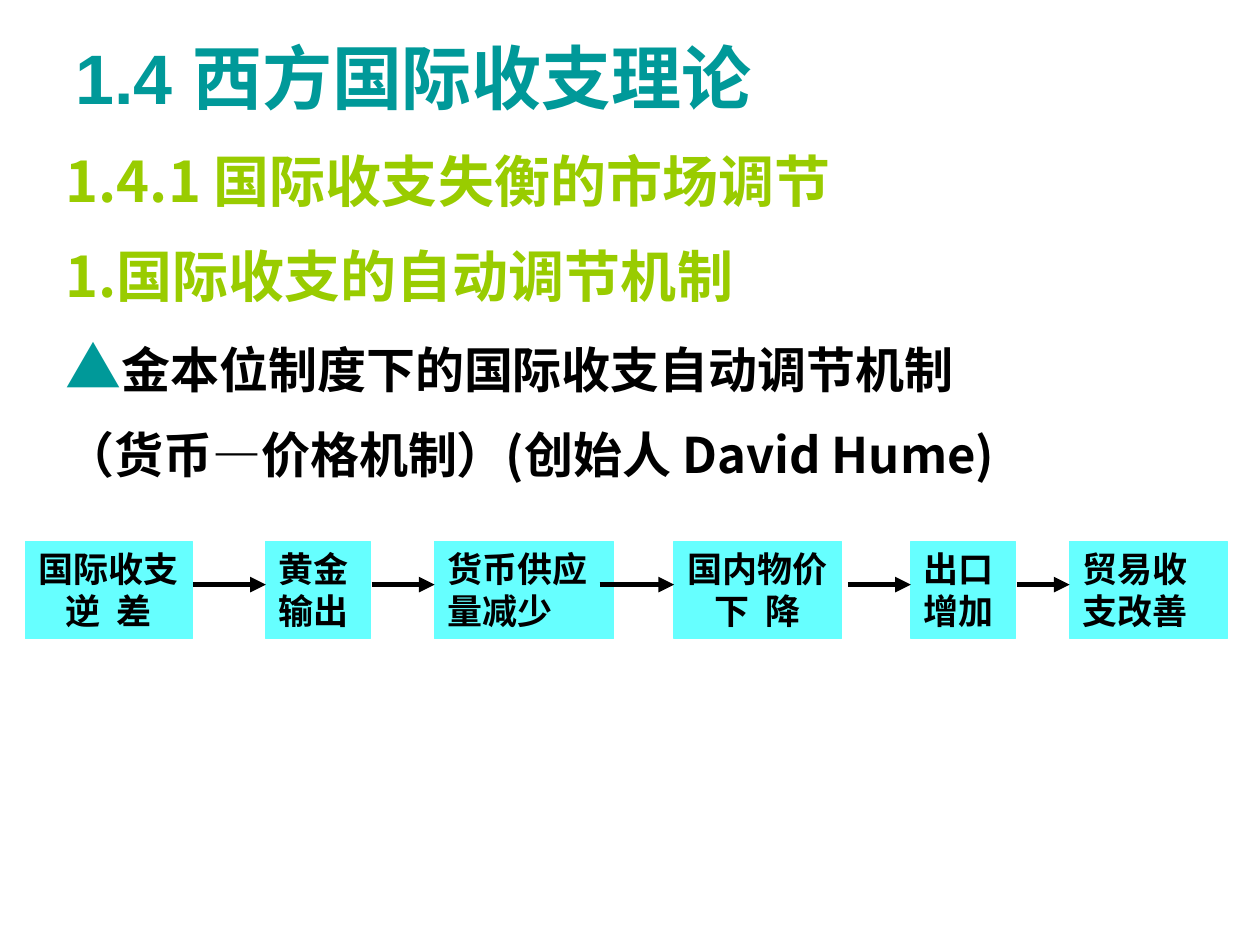
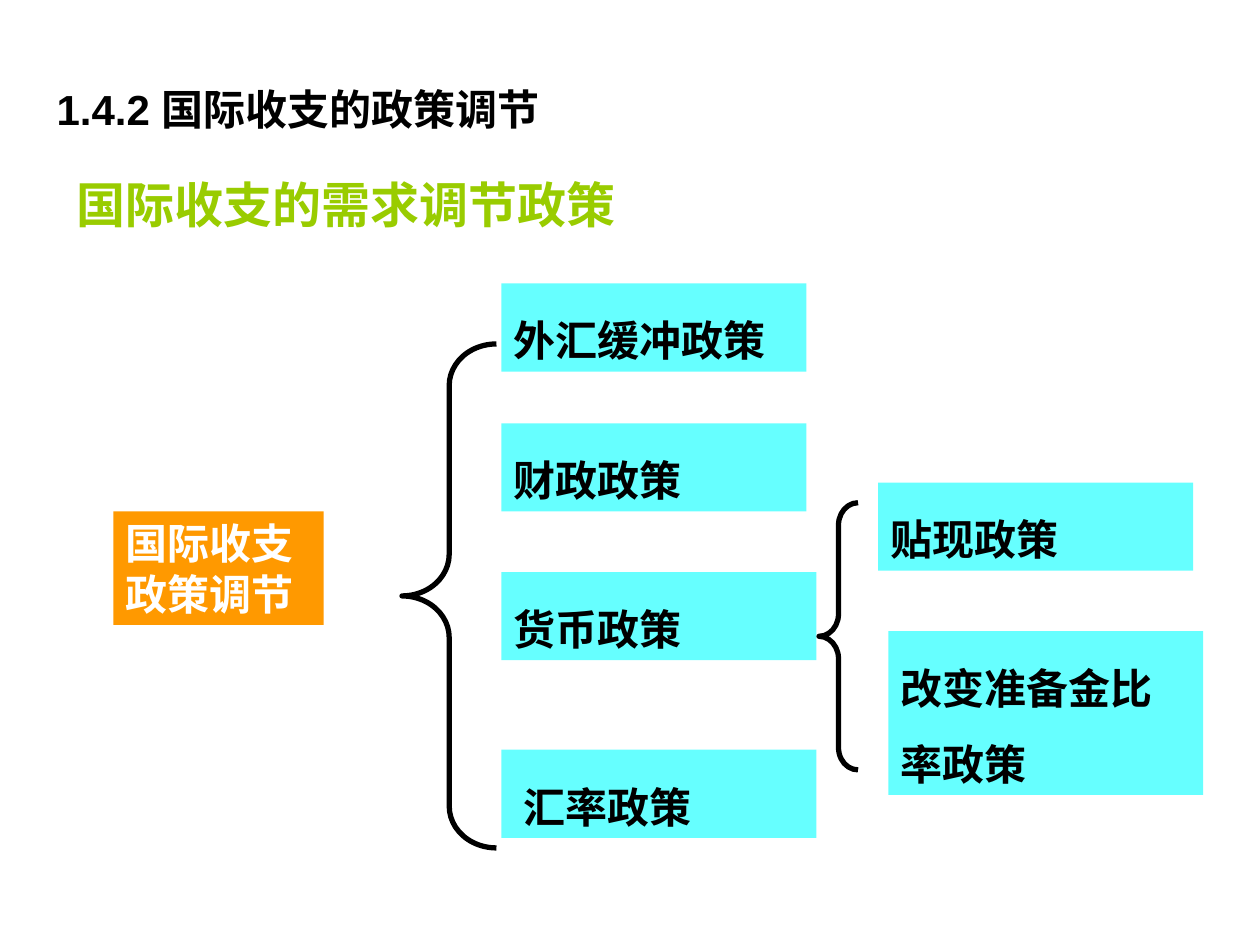
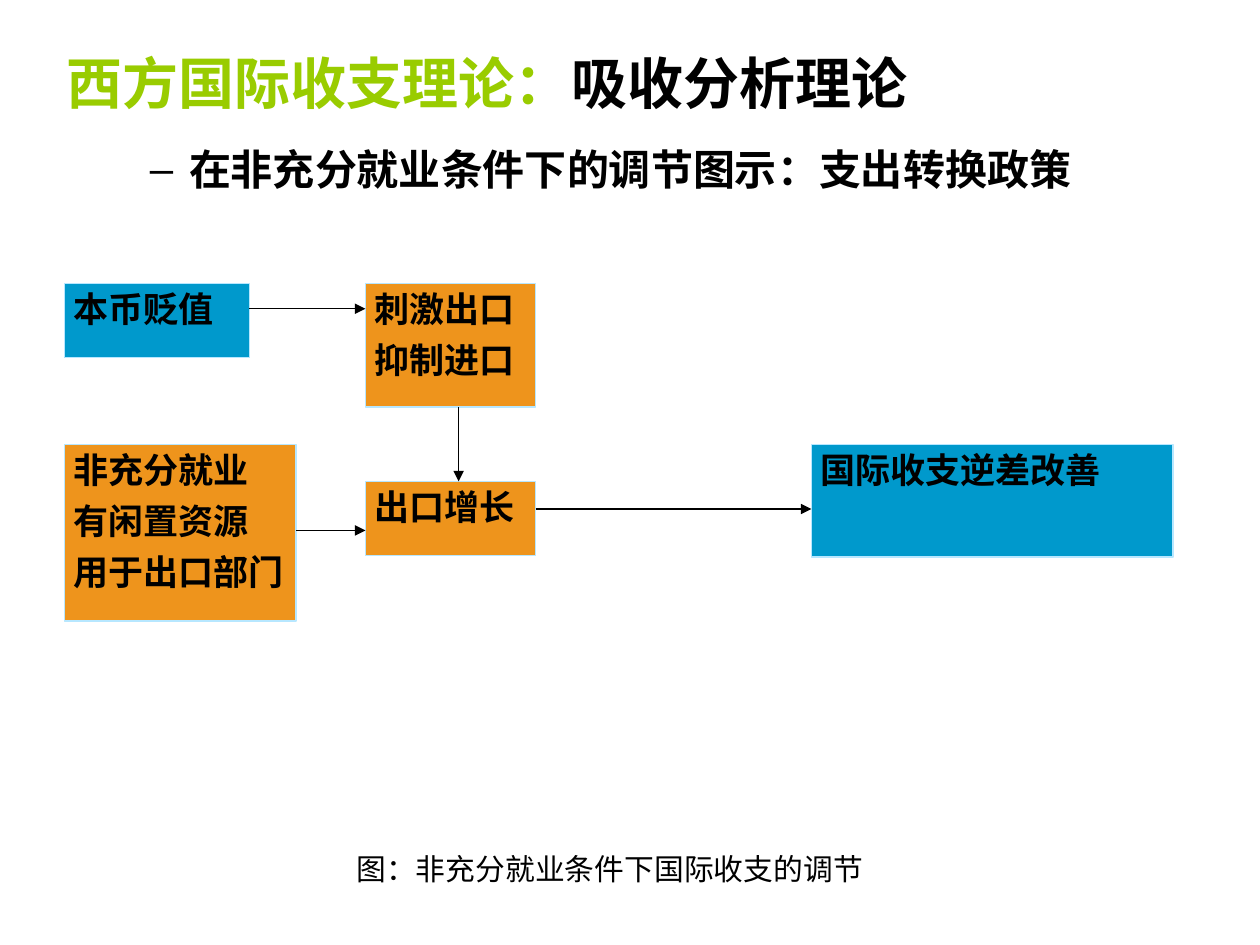
from lxml import etree
from pptx import Presentation, util as u
from pptx.dml.color import RGBColor
from pptx.enum import shapes as sh, text as tx
from pptx.oxml.ns import qn

# Shared look
COLORS = {
    "teal": "009999", "lime": "99CC00", "aqua": "66FFFF", "orange": "FF9900",
    "amber": "EE941C", "blue": "0099CC", "pale": "B7E7FF",
    "black": "000000", "white": "FFFFFF",
}
CJK = "Noto Sans CJK SC"
SERIF = "Times New Roman"
LEFT, CENTER, JUSTIFY = (tx.PP_ALIGN.LEFT, tx.PP_ALIGN.CENTER,
                         tx.PP_ALIGN.JUSTIFY)
TOP, MIDDLE = tx.MSO_ANCHOR.TOP, tx.MSO_ANCHOR.MIDDLE

# Grid: 100 columns by 75 rows of square cells
WIDTH, HEIGHT = u.Inches(10), u.Inches(7.5)
COL, ROW = WIDTH / 100, HEIGHT / 75


def place(x, y, w, h):
    return round(x * COL), round(y * ROW), round(w * COL), round(h * ROW)


def rgb(name):
    return RGBColor.from_string(COLORS[name])


def add_run(p, content, size=24, font="Arial", color="black", bold=True):
    r = p.add_run()
    r.text = content
    r.font.size, r.font.bold, r.font.name = u.Pt(size), bold, font
    r.font.color.rgb = rgb(color)
    east = etree.SubElement(r._r.get_or_add_rPr(), qn("a:ea"))
    east.set("typeface", font if font.startswith("Noto") else CJK)


def set_bullet(p, bullet, margin, hanging):
    pPr = p._p.get_or_add_pPr()
    pPr.set("marL", str(round(margin * COL)))
    pPr.set("indent", str(round(-hanging * COL)))
    if bullet:
        etree.SubElement(pPr, qn("a:buChar")).set("char", bullet)
    else:
        etree.SubElement(pPr, qn("a:buNone"))


def write(sp, paragraphs, align=LEFT, before=0, spacing=1, anchor=TOP,
          inset=(1, 0.5, 1, 0.5), bullet=None, margin=0, hanging=0, **fmt):
    """Fill a shape; a paragraph is a string or a list of (text, format)."""
    tf = sp.text_frame
    tf.word_wrap, tf.auto_size = True, tx.MSO_AUTO_SIZE.NONE
    tf.vertical_anchor = anchor
    tf.margin_left, tf.margin_top, tf.margin_right, tf.margin_bottom = (
        round(i * COL) for i in inset)
    for i, content in enumerate(paragraphs):
        p = tf.add_paragraph() if i else tf.paragraphs[0]
        runs = [(content, {})] if isinstance(content, str) else content
        own = runs[0][1].get("before", before)
        p.alignment, p.line_spacing = align, spacing
        p.space_before, p.space_after = u.Pt(own), u.Pt(0)
        set_bullet(p, bullet, margin, hanging)
        for words, change in runs:
            look = {k: v for k, v in change.items() if k != "before"}
            add_run(p, words, **{**fmt, **look})
    return sp


def fill_placeholder(sp, box, paragraphs, **fmt):
    sp.left, sp.top, sp.width, sp.height = place(*box)
    return write(sp, paragraphs, **fmt)


def add_label(s, box, words, **fmt):
    return write(s.shapes.add_textbox(*place(*box)), [words], **fmt)


def add_box(s, box, paragraphs, fill="aqua", line=None, **fmt):
    sp = s.shapes.add_shape(sh.MSO_SHAPE.RECTANGLE, *place(*box))
    sp.shadow.inherit = False
    sp.fill.solid()
    sp.fill.fore_color.rgb = rgb(fill)
    if line:
        sp.line.color.rgb, sp.line.width = rgb(line), u.Pt(0.75)
    else:
        sp.line.fill.background()
    return write(sp, paragraphs, **fmt)


def add_arrow(s, x1, y1, x2, y2, weight=0.75):
    x1, y1, x2, y2 = place(x1, y1, x2, y2)
    line = s.shapes.add_connector(sh.MSO_CONNECTOR.STRAIGHT, x1, y1, x2, y2)
    line.line.color.rgb, line.line.width = rgb("black"), u.Pt(weight)
    tail = etree.SubElement(line.line._get_or_add_ln(), qn("a:tailEnd"))
    tail.set("type", "triangle")
    etree.SubElement(line._element.spPr, qn("a:effectLst"))


def add_brace(s, box, curve):
    sp = s.shapes.add_shape(sh.MSO_SHAPE.LEFT_BRACE, *place(*box))
    sp.shadow.inherit = False
    sp.adjustments[0] = curve
    sp.fill.background()
    sp.line.color.rgb, sp.line.width = rgb("black"), u.Pt(3)


def gold_standard_slide(prs):
    s = prs.slides.add_slide(prs.slide_layouts[1])
    fill_placeholder(s.shapes.title, (5, 3, 90, 12.5), ["1.4 西方国际收支理论"],
                     size=40, color="teal", anchor=MIDDLE,
                     inset=(1, 0.5, 1, 6.8))
    point = {"size": 28, "color": "black", "before": 17.5}
    fill_placeholder(
        s.placeholders[1], (4.2, 11.7, 87.5, 27.5),
        ["1.4.1 国际收支失衡的市场调节",
         "1.国际收支的自动调节机制",
         [("▲", {"font": "Arial", "color": "teal", "before": 17.5}),
          ("金本位制度下的国际收支自动调节机制", point)],
         [("（货币—价格机制）", {**point, "font": "Arial"}),
          ("(创始人 David Hume)", point)]],
        size=32, font=CJK, color="lime", before=20, spacing=0.9,
        margin=3.8, hanging=3.8)

    # Chain of effects: left, width, text, alignment
    chain = [(2, 13.3, "国际收支逆  差", CENTER), (21.1, 8.3, "黄金输出", LEFT),
             (34.5, 14.2, "货币供应量减少", LEFT),
             (53.5, 13.3, "国内物价下  降", CENTER),
             (72.3, 8.3, "出口增加", LEFT), (84.9, 12.5, "贸易收支改善", LEFT)]
    for x, w, words, align in chain:
        add_box(s, (x, 43, w, 7.7), [words], line="aqua", align=align,
                before=12.5, size=20, font=SERIF)
    starts = [15.3, 29.5, 47.6, 67.3, 80.7]
    for start, (end, *_) in zip(starts, chain[1:]):
        add_arrow(s, start, 46.4, end, 46.4, weight=3)


def policy_slide(prs):
    s = prs.slides.add_slide(prs.slide_layouts[5])
    fill_placeholder(s.shapes.title, (5.1, 9.9, 83.3, 12.5),
                     ["国际收支的需求调节政策"],
                     size=28, color="lime", anchor=MIDDLE)
    add_label(s, (3.5, 6.1, 46.5, 5), "1.4.2 国际收支的政策调节",
              align=JUSTIFY, before=6)

    # Policy tree
    add_box(s, (9, 40.6, 16.7, 9), ["国际收支", [("政策调节", {"before": 0})]],
            fill="orange", color="white", font=CJK, before=15)
    policies = [((39.8, 22.5, 24.2, 7), "外汇缓冲政策"),
                ((39.8, 33.6, 24.2, 7), "财政政策"),
                ((39.8, 45.4, 25, 7), "货币政策"),
                ((39.8, 59.5, 25, 7), " 汇率政策"),
                ((69.7, 38.3, 25, 7), "贴现政策"),
                ((70.5, 50.1, 25, 13), "改变准备金比率政策")]
    for box, words in policies:
        add_box(s, box, [words], font=SERIF, before=15, spacing=1.5)
    add_brace(s, (31.9, 27.3, 7.5, 40), 0.44)
    add_brace(s, (65, 39.9, 3.1, 21.2), 0.57)


def absorption_slide(prs):
    s = prs.slides.add_slide(prs.slide_layouts[1])
    fill_placeholder(s.shapes.title, (4.3, 3.5, 79.5, 6),
                     [[("西方国际收支理论：", {"color": "lime"}),
                       ("吸收分析理论", {})]],
                     size=32, font="Noto Sans CJK JP", anchor=MIDDLE)
    fill_placeholder(s.placeholders[1], (5.9, 10.9, 86.4, 11.8),
                     ["在非充分就业条件下的调节图示：支出转换政策"],
                     align=JUSTIFY, before=6, bullet="–",
                     margin=8.1, hanging=3.1)
    add_label(s, (27.3, 67, 42.8, 3.8), "图：非充分就业条件下国际收支的调节",
              size=17, font="Karla", bold=False, anchor=MIDDLE)

    # Adjustment flow
    steps = [
        ((5.1, 35.3, 18.4, 14), "amber",
         ["非充分就业", "有闲置资源", "用于出口部门"]),
        ((5.1, 22.5, 14.7, 5.9), "blue", ["本币贬值"]),
        ((29, 22.5, 13.5, 9.8), "amber", ["刺激出口", "抑制进口"]),
        ((29, 38.2, 13.5, 5.9), "amber", ["出口增长"]),
        ((64.4, 35.3, 28.7, 8.9), "blue", ["国际收支逆差改善"]),
    ]
    for box, fill, lines in steps:
        add_box(s, box, lines, fill=fill, line="pale", align=JUSTIFY,
                before=5, size=20, font=SERIF, inset=(0.7, 0.3, 0.7, 0.3))
    for ends in [(23.5, 42.1, 29, 42.1), (19.8, 24.5, 29, 24.5),
                 (42.5, 40.4, 64.4, 40.4), (36.4, 32.3, 36.4, 38.2)]:
        add_arrow(s, *ends)


def main():
    prs = Presentation()
    prs.slide_width, prs.slide_height = WIDTH, HEIGHT
    gold_standard_slide(prs)
    policy_slide(prs)
    absorption_slide(prs)
    prs.save("out.pptx")


if __name__ == "__main__":
    main()
